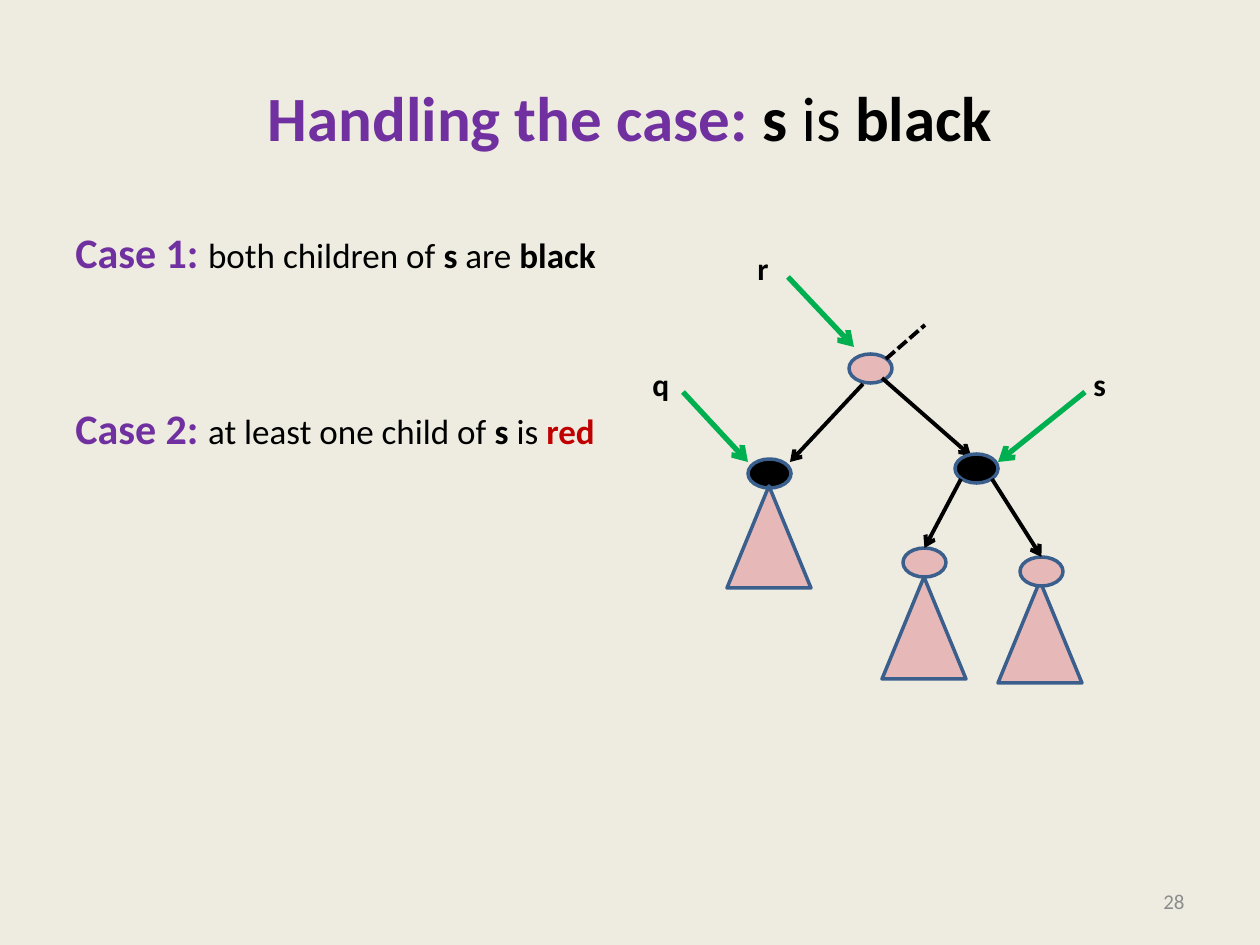
from pptx import Presentation
from pptx.dml.color import RGBColor
from pptx.enum.dml import MSO_LINE
from pptx.enum.shapes import MSO_CONNECTOR, MSO_SHAPE
from pptx.enum.text import MSO_ANCHOR as ANCHOR, PP_ALIGN as ALIGN
from pptx.oxml.ns import qn
from pptx.util import Pt
from lxml.etree import SubElement

EMU_PER_PX = 914400 / 126
FONT = "Calibri"
NODE_W, NODE_H = 43, 29
TREE_W, TREE_H = 84, 102

BACKGROUND = RGBColor(0xEE, 0xEC, 0xE1)
PURPLE = RGBColor(0x70, 0x30, 0xA0)
BLACK = RGBColor(0x00, 0x00, 0x00)
RED = RGBColor(0xC0, 0x00, 0x00)
GREEN = RGBColor(0x00, 0xB0, 0x50)
PINK = RGBColor(0xE6, 0xB9, 0xB8)
OUTLINE = RGBColor(0x3A, 0x5F, 0x8C)
GRAY = RGBColor(0x8C, 0x8C, 0x8C)


def px(*lengths):
    return [round(length * EMU_PER_PX) for length in lengths]


def add_box(slide, box, anchor=ANCHOR.TOP, wrap=True):
    frame = slide.shapes.add_textbox(*px(*box)).text_frame
    frame.word_wrap = wrap
    frame.vertical_anchor = anchor
    return frame


def add_runs(paragraph, runs, align=ALIGN.LEFT):
    """Each run is (text, size, colour, bold)."""
    paragraph.alignment = align
    for text, size, color, bold in runs:
        run = paragraph.add_run()
        run.text = text
        run.font.name = FONT
        run.font.size = Pt(size)
        run.font.bold = bold
        run.font.color.rgb = color


def add_label(slide, text, x, y):
    frame = add_box(slide, (x, y, 40, 50), wrap=False)
    add_runs(frame.paragraphs[0], [(text, 18, BLACK, True)])


def add_figure(slide, kind, box, fill):
    figure = slide.shapes.add_shape(kind, *px(*box))
    figure.shadow.inherit = False
    figure.fill.solid()
    figure.fill.fore_color.rgb = fill
    figure.line.color.rgb = OUTLINE
    figure.line.width = Pt(2)
    return figure


def add_node(slide, x, y, fill):
    return add_figure(slide, MSO_SHAPE.OVAL, (x, y, NODE_W, NODE_H), fill)


def add_subtree(slide, x, y):
    return add_figure(slide, MSO_SHAPE.ISOSCELES_TRIANGLE, (x, y, TREE_W, TREE_H), PINK)


def add_line(slide, start, end, color=BLACK, width=2.25, dashed=False):
    line = slide.shapes.add_connector(MSO_CONNECTOR.STRAIGHT, *px(*start, *end))
    line.line.color.rgb = color
    line.line.width = Pt(width)
    if dashed:
        line.line.dash_style = MSO_LINE.SQUARE_DOT
    else:
        outline = line.line._get_or_add_ln()
        SubElement(outline, qn("a:tailEnd"), type="arrow")
    SubElement(line._element.spPr, qn("a:effectLst"))
    return line


def add_pointer(slide, start, end):
    add_line(slide, start, end, GREEN, 3)


def add_texts(slide):
    title = add_box(slide, (63, 38, 1134, 157), ANCHOR.MIDDLE)
    add_runs(title.paragraphs[0], [
        ("Handling the case:", 36, PURPLE, True),
        (" s ", 36, BLACK, True),
        ("is ", 36, BLACK, False),
        ("black", 36, BLACK, True),
    ], ALIGN.CENTER)

    cases = add_box(slide, (63, 220, 1134, 624))
    add_runs(cases.paragraphs[0], [
        ("Case 1: ", 24, PURPLE, True),
        ("both children of ", 20, BLACK, False),
        ("s", 20, BLACK, True),
        (" are ", 20, BLACK, False),
        ("black", 20, BLACK, True),
    ])
    second_case = cases.add_paragraph()
    second_case.space_before = Pt(72)
    add_runs(second_case, [
        ("Case 2: ", 24, PURPLE, True),
        ("at least one child of ", 20, BLACK, False),
        ("s", 20, BLACK, True),
        (" is ", 20, BLACK, False),
        ("red", 20, RED, True),
    ])

    number = add_box(slide, (903, 876, 294, 50), ANCHOR.MIDDLE)
    add_runs(number.paragraphs[0], [("28", 12, GRAY, False)], ALIGN.RIGHT)


def add_tree(slide):
    # Root r with its edges
    add_node(slide, 849, 354, PINK)
    add_line(slide, (863, 384), (790, 462))
    add_line(slide, (886, 359), (925, 325), dashed=True)
    add_line(slide, (882, 378), (971, 456))

    # Siblings s and q, with the subtree of q
    add_node(slide, 955, 454, BLACK)
    add_node(slide, 748, 459, BLACK)
    add_subtree(slide, 727, 486)

    # Children of s, each on top of its subtree
    add_subtree(slide, 998, 581)
    right_child = add_node(slide, 1020, 557, PINK)
    add_subtree(slide, 882, 577)
    left_child = add_node(slide, 903, 548, PINK)
    add_line(slide, (961, 479), (925, 548)).end_connect(left_child, 0)
    add_line(slide, (992, 479), (1042, 557)).end_connect(right_child, 0)

    # Named pointers
    add_pointer(slide, (683, 392), (748, 462))
    add_label(slide, "q", 640, 359)
    add_label(slide, "s", 1081, 359)
    add_pointer(slide, (1085, 392), (998, 462))
    add_pointer(slide, (788, 277), (854, 347))
    add_label(slide, "r", 745, 243)


def main():
    deck = Presentation()
    deck.slide_width, deck.slide_height = px(1260, 945)
    slide = deck.slides.add_slide(deck.slide_layouts[6])
    slide.background.fill.solid()
    slide.background.fill.fore_color.rgb = BACKGROUND
    add_texts(slide)
    add_tree(slide)
    deck.save("out.pptx")


if __name__ == "__main__":
    main()
